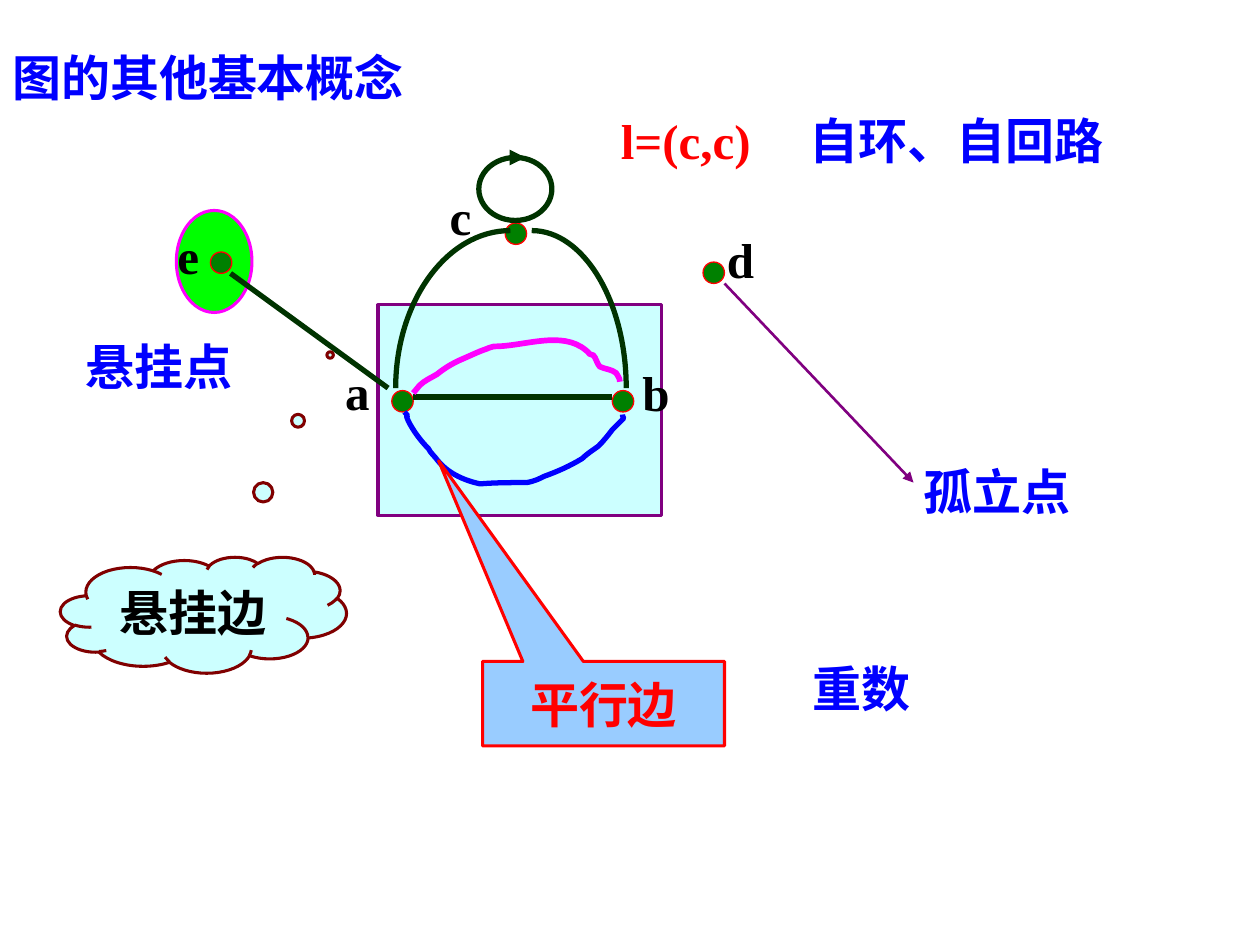
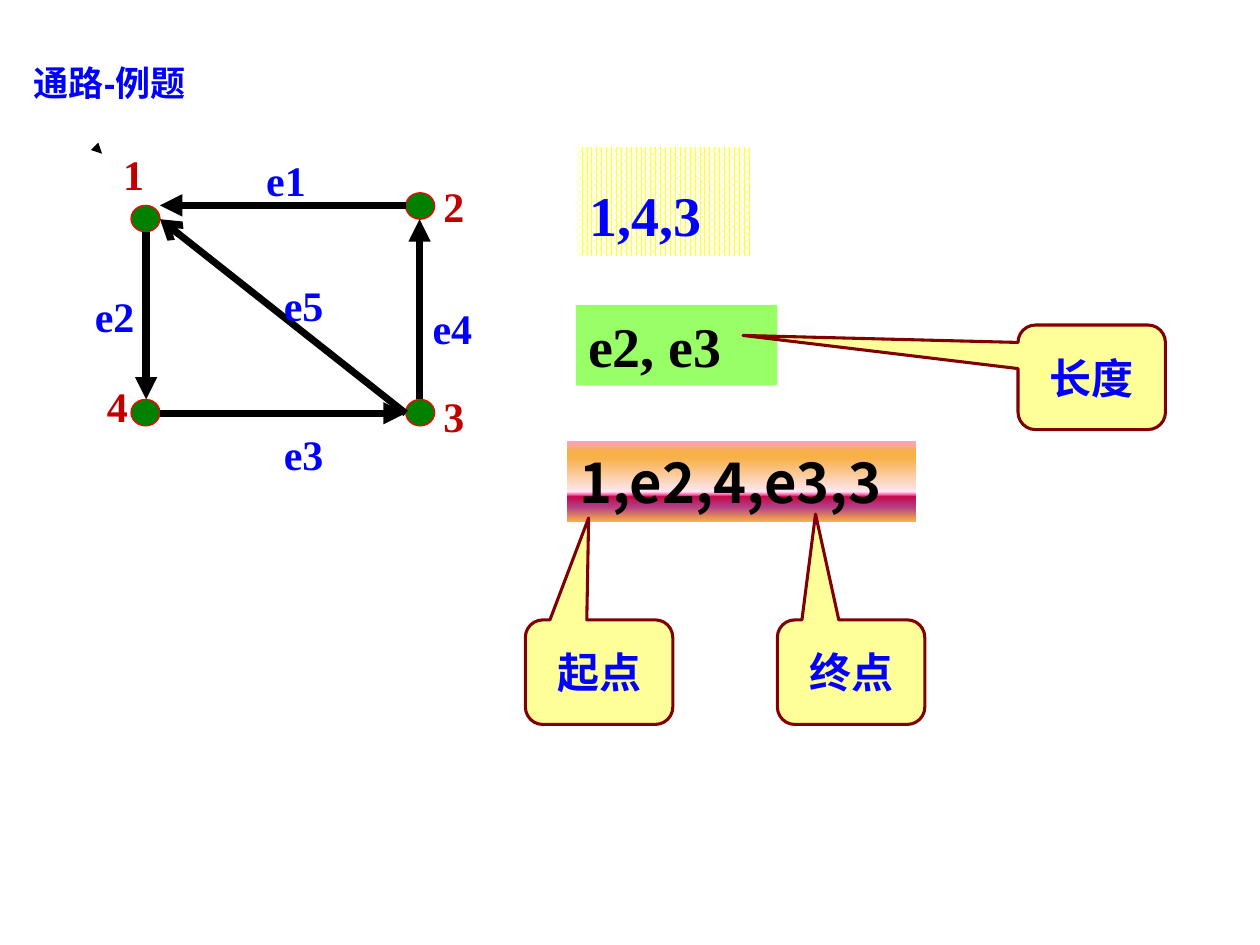
from lxml import etree
from pptx import Presentation
from pptx.dml.color import RGBColor
from pptx.enum.dml import MSO_PATTERN
from pptx.enum.shapes import MSO_CONNECTOR, MSO_SHAPE
from pptx.enum.text import MSO_ANCHOR, MSO_AUTO_SIZE, PP_ALIGN
from pptx.oxml.ns import qn
from pptx.util import Inches, Pt

RECTANGLE = MSO_SHAPE.RECTANGLE
OVAL = MSO_SHAPE.OVAL
CLOUD = MSO_SHAPE.CLOUD_CALLOUT
RECTANGLE_CALLOUT = MSO_SHAPE.RECTANGULAR_CALLOUT
ROUND_CALLOUT = MSO_SHAPE.ROUNDED_RECTANGULAR_CALLOUT
STRAIGHT = MSO_CONNECTOR.STRAIGHT
LEFT, CENTER = PP_ALIGN.LEFT, PP_ALIGN.CENTER
TOP, MIDDLE = MSO_ANCHOR.TOP, MSO_ANCHOR.MIDDLE
FIT_SHAPE, NO_FIT = MSO_AUTO_SIZE.SHAPE_TO_FIT_TEXT, MSO_AUTO_SIZE.NONE
DENSE_DOTS = MSO_PATTERN.PERCENT_75

BLACK = RGBColor(0x00, 0x00, 0x00)
WHITE = RGBColor(0xFF, 0xFF, 0xFF)
BLUE = RGBColor(0x00, 0x00, 0xFF)
RED = RGBColor(0xFF, 0x00, 0x00)
DARK_RED = RGBColor(0xC0, 0x00, 0x00)
MAROON = RGBColor(0x80, 0x00, 0x00)
PURPLE = RGBColor(0x80, 0x00, 0x80)
MAGENTA = RGBColor(0xFF, 0x00, 0xFF)
NODE_GREEN = RGBColor(0x00, 0x80, 0x00)
EDGE_GREEN = RGBColor(0x00, 0x33, 0x00)
BRIGHT_GREEN = RGBColor(0x00, 0xFF, 0x00)
LIGHT_GREEN = RGBColor(0x99, 0xFF, 0x66)
PALE_CYAN = RGBColor(0xCC, 0xFF, 0xFF)
SKY = RGBColor(0x99, 0xCC, 0xFF)
YELLOW = RGBColor(0xFF, 0xFF, 0x33)
PALE_YELLOW = RGBColor(0xFF, 0xFF, 0x99)
SUNSET_STOPS = [
    (0, "FC9FCB"), (13, "F8B049"), (21, "F8B049"), (63, "FEE7F2"),
    (67, "F952A0"), (69, "C50849"), (82, "B43E85"), (100, "F8B049"),
]
SERIF, SANS, CHINESE = "Times New Roman", "Arial", "Noto Sans CJK SC"


def write_text(shape, text, size=28, font=SERIF, color=BLACK, align=LEFT,
               anchor=TOP, wrap=True, fit=FIT_SHAPE, spacing=None):
    frame = shape.text_frame
    frame.word_wrap = wrap
    frame.auto_size = fit
    frame.vertical_anchor = anchor
    paragraph = frame.paragraphs[0]
    paragraph.alignment = align
    paragraph.line_spacing = spacing
    run = paragraph.add_run()
    run.text = text
    run.font.size = Pt(size)
    run.font.bold = True
    run.font.color.rgb = color
    run.font.name = font
    properties = run.font._element
    etree.SubElement(properties, qn("a:ea")).set("typeface", CHINESE)


def draw_shape(slide, kind, box, fill=None, line=None, width=1.75):
    shape = slide.shapes.add_shape(kind, *[Inches(value) for value in box])
    shape.shadow.inherit = False
    if fill is None:
        shape.fill.background()
    else:
        shape.fill.solid()
        shape.fill.fore_color.rgb = fill
    if line is None:
        shape.line.fill.background()
    else:
        shape.line.color.rgb = line
        shape.line.width = Pt(width)
    return shape


presentation = Presentation()
presentation.slide_width = Inches(10)
presentation.slide_height = Inches(7.5)
blank_layout = presentation.slide_layouts[6]
concepts = presentation.slides.add_slide(blank_layout)
walks = presentation.slides.add_slide(blank_layout)

draw_shape(concepts, RECTANGLE, (3, 2.42, 2.25, 1.67), PALE_CYAN, PURPLE)
draw_shape(concepts, OVAL, (1.4, 1.67, 0.6, 0.81), BRIGHT_GREEN, MAGENTA)

node_groups = [
    (concepts, 0.17, 0.17,
     [(4.86, 3.1), (3.11, 3.1), (4.01, 1.77), (5.58, 2.08), (1.67, 2)]),
    (walks, 0.23, 0.21,
     [(3.22, 3.17), (3.22, 1.53), (1.04, 3.17), (1.04, 1.63)]),
]
for slide, width, height, corners in node_groups:
    for left, top in corners:
        draw_shape(slide, OVAL, (left, top, width, height), NODE_GREEN, RED, 0.75)
draw_shape(concepts, OVAL, (3.8, 1.25, 0.58, 0.5), line=EDGE_GREEN, width=3)

edges = [
    (concepts, (3.28, 3.15, 4.86, 3.15), EDGE_GREEN, 3, None),
    (concepts, (4.08, 1.25, 4.17, 1.25), EDGE_GREEN, 3, "triangle"),
    (concepts, (5.75, 2.25, 7.25, 3.83), PURPLE, 1.5, "triangle"),
    (concepts, (1.83, 2.17, 3.08, 3.08), EDGE_GREEN, 3, None),
    (walks, (3.22, 1.63, 1.27, 1.63), BLACK, 4.25, "triangle"),
    (walks, (1.16, 1.84, 1.16, 3.17), BLACK, 4.25, "triangle"),
    (walks, (1.27, 3.28, 3.22, 3.28), BLACK, 4.25, "triangle"),
    (walks, (3.33, 3.17, 3.33, 1.74), BLACK, 4.25, "triangle"),
    (walks, (0.8, 1.21, 0.81, 1.22), BLACK, 1.5, "triangle"),
    (walks, (3.22, 3.28, 1.27, 1.74), BLACK, 4, "arrow"),
]
for slide, ends, color, width, arrowhead in edges:
    edge = slide.shapes.add_connector(STRAIGHT, *[Inches(value) for value in ends])
    edge.line.color.rgb = color
    edge.line.width = Pt(width)
    if arrowhead:
        etree.SubElement(edge.line._get_or_add_ln(), qn("a:tailEnd")).set("type", arrowhead)
    etree.SubElement(edge._element.spPr, qn("a:effectLst"))

curves = [
    (EDGE_GREEN, 3, [(4.22, 1.83), (4.63, 1.83), (4.97, 2.39), (4.97, 3.08)]),
    (EDGE_GREEN, 3, [(4.05, 1.83), (3.55, 1.83), (3.14, 2.39), (3.14, 3.08)]),
    (BLUE, 3, [
        (3.21, 3.27), (3.27, 3.34), (3.2, 3.25), (3.24, 3.34),
        (3.28, 3.42), (3.34, 3.5), (3.4, 3.56),
        (3.42, 3.6), (3.45, 3.62), (3.47, 3.65),
        (3.55, 3.75), (3.67, 3.81), (3.81, 3.84),
        (3.93, 3.83), (4.06, 3.83), (4.18, 3.83),
        (4.24, 3.82), (4.28, 3.8), (4.32, 3.78),
        (4.43, 3.74), (4.52, 3.7), (4.62, 3.64),
        (4.66, 3.6), (4.71, 3.57), (4.75, 3.54),
        (4.79, 3.5), (4.83, 3.45), (4.86, 3.41),
        (4.89, 3.38), (4.95, 3.32), (4.95, 3.32),
        (4.94, 3.31), (4.94, 3.29), (4.94, 3.29)]),
    (MAGENTA, 3.25, [
        (3.28, 3.12), (3.3, 3.1), (3.31, 3.08), (3.33, 3.06),
        (3.37, 3.02), (3.42, 3), (3.47, 2.97),
        (3.53, 2.92), (3.6, 2.88), (3.67, 2.85),
        (3.74, 2.82), (3.8, 2.79), (3.86, 2.77),
        (3.88, 2.76), (3.92, 2.75), (3.92, 2.75),
        (4.16, 2.75), (4.46, 2.62), (4.65, 2.78),
        (4.7, 2.82), (4.65, 2.8), (4.71, 2.82),
        (4.73, 2.84), (4.74, 2.89), (4.76, 2.91),
        (4.8, 2.93), (4.85, 2.93), (4.89, 2.96),
        (4.9, 2.98), (4.92, 3), (4.92, 3.03)]),
]
for color, width, controls in curves:
    points = [(Inches(x), Inches(y)) for x, y in controls]
    builder = concepts.shapes.build_freeform(*points[0])
    builder.add_line_segments(points[1:], close=False)
    curve = builder.convert_to_shape()
    segments = list(curve._element.iter(qn("a:lnTo")))
    outline = segments[0].getparent()
    for start in range(0, len(segments), 3):
        bezier = etree.SubElement(outline, qn("a:cubicBezTo"))
        for segment in segments[start:start + 3]:
            bezier.append(segment[0])
            outline.remove(segment)
    curve.shadow.inherit = False
    curve.fill.background()
    curve.line.color.rgb = color
    curve.line.width = Pt(width)

callouts = [
    (concepts, CLOUD, (0.48, 4.42, 2.27, 0.92), (0.443, -2.242),
     PALE_CYAN, MAROON, "悬挂边", 28, SERIF, BLACK),
    (concepts, RECTANGLE_CALLOUT, (3.83, 5.25, 1.92, 0.67), (-0.682, -2.878),
     SKY, RED, "平行边", 28, SERIF, RED),
]
for left, top, pointer, text in [
    (4.17, 4.92, (-0.071, -1.475), "起点"),
    (6.17, 4.92, (-0.241, -1.512), "终点"),
    (8.08, 2.58, (-2.366, -0.4), "长度"),
]:
    callouts.append((walks, ROUND_CALLOUT, (left, top, 1.17, 0.83), pointer,
                     PALE_YELLOW, MAROON, text, 24, CHINESE, BLUE))

sunset_box = draw_shape(walks, RECTANGLE, (4.5, 3.5, 2.77, 0.64))
sunset_box.fill.gradient()
sunset_box.fill.gradient_angle = 270
stop_list = sunset_box._element.spPr.find(qn("a:gradFill")).find(qn("a:gsLst"))
for stop in list(stop_list):
    stop_list.remove(stop)
for percent, color in SUNSET_STOPS:
    stop = etree.SubElement(stop_list, qn("a:gs"))
    stop.set("pos", str(percent * 1000))
    etree.SubElement(stop, qn("a:srgbClr")).set("val", color)
write_text(sunset_box, "1,e2,4,e3,3", size=32, font=CHINESE)

vertex_box = draw_shape(walks, RECTANGLE, (4.58, 1.17, 1.37, 0.86))
vertex_box.fill.patterned()
vertex_box.fill.pattern = DENSE_DOTS
vertex_box.fill.fore_color.rgb = YELLOW
vertex_box.fill.back_color.rgb = WHITE
write_text(vertex_box, "1,4,3", size=32, color=BLUE, spacing=1.4)

edge_box = draw_shape(walks, RECTANGLE, (4.57, 2.42, 1.6, 0.64), LIGHT_GREEN)
write_text(edge_box, "e2, e3", size=32)

for slide, kind, box, pointer, fill, line, text, size, font, color in callouts:
    callout = draw_shape(slide, kind, box, fill, line)
    for index, value in enumerate(pointer):
        callout.adjustments[index] = value
    write_text(callout, text, size=size, font=font, color=color,
               align=CENTER, anchor=MIDDLE, fit=NO_FIT)

free = {"wrap": False}
blue = {"color": BLUE}
vertex_format = {"size": 24, "color": DARK_RED, "wrap": False}
edge_format = {"size": 24, "color": BLUE, "align": CENTER, "wrap": False}
labels = [
    (concepts, "图的其他基本概念", (0, 0.33, 3.84, 0.57), blue),
    (concepts, "a", (2.64, 2.82, 0.4, 0.57), free),
    (concepts, "b", (5, 2.83, 0.42, 0.57), free),
    (concepts, "c", (3.47, 1.43, 0.37, 0.57), free),
    (concepts, "d", (5.67, 1.77, 0.42, 0.57), free),
    (concepts, "e", (1.31, 1.74, 0.37, 0.57), {"align": CENTER, **free}),
    (concepts, "l=(c,c)", (4.83, 0.83, 1.24, 0.57), {"color": RED, **free}),
    (concepts, "自环、自回路", (6.33, 0.83, 2.57, 0.57), {**blue, **free}),
    (concepts, "孤立点", (7.23, 3.61, 2.27, 0.57), blue),
    (concepts, "悬挂点", (0.57, 2.62, 1.38, 0.57), {"align": CENTER, **blue, **free}),
    (concepts, "重数", (6.01, 5.18, 1.65, 0.57), {"align": CENTER, **blue}),
    (walks, "通路-例题", (0.17, 0.44, 1.92, 0.43), {"size": 20, "font": SANS, **blue}),
]
for text, left, top in [("1", 0.88, 1.13), ("2", 3.42, 1.38),
                        ("3", 3.42, 3.05), ("4", 0.75, 2.97)]:
    labels.append((walks, text, (left, top, 0.37, 0.51), vertex_format))
for text, left, top in [("e1", 2.01, 1.18), ("e2", 0.65, 2.26), ("e3", 2.15, 3.35),
                        ("e4", 3.33, 2.35), ("e5", 2.15, 2.17)]:
    labels.append((walks, text, (left, top, 0.52, 0.5), edge_format))
for slide, text, box, text_format in labels:
    label = slide.shapes.add_textbox(*[Inches(value) for value in box])
    write_text(label, text, **text_format)

presentation.save("out.pptx")
